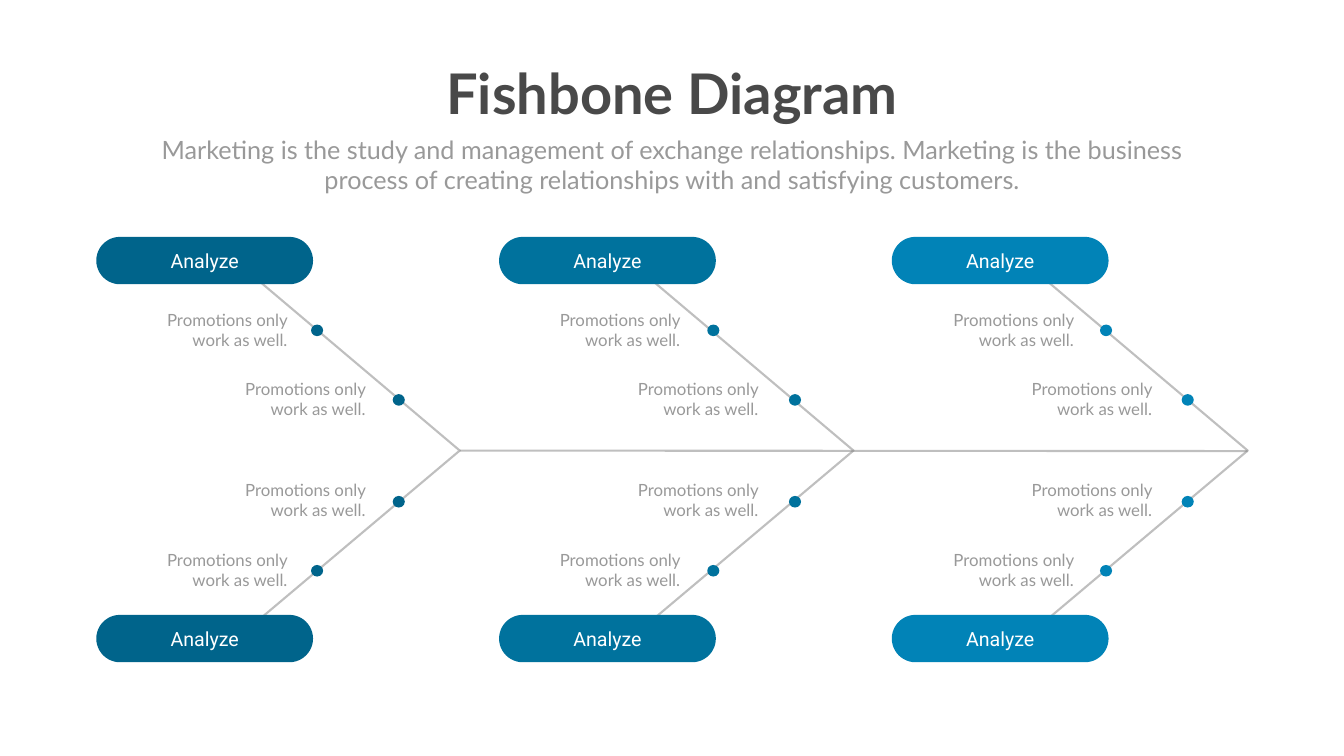
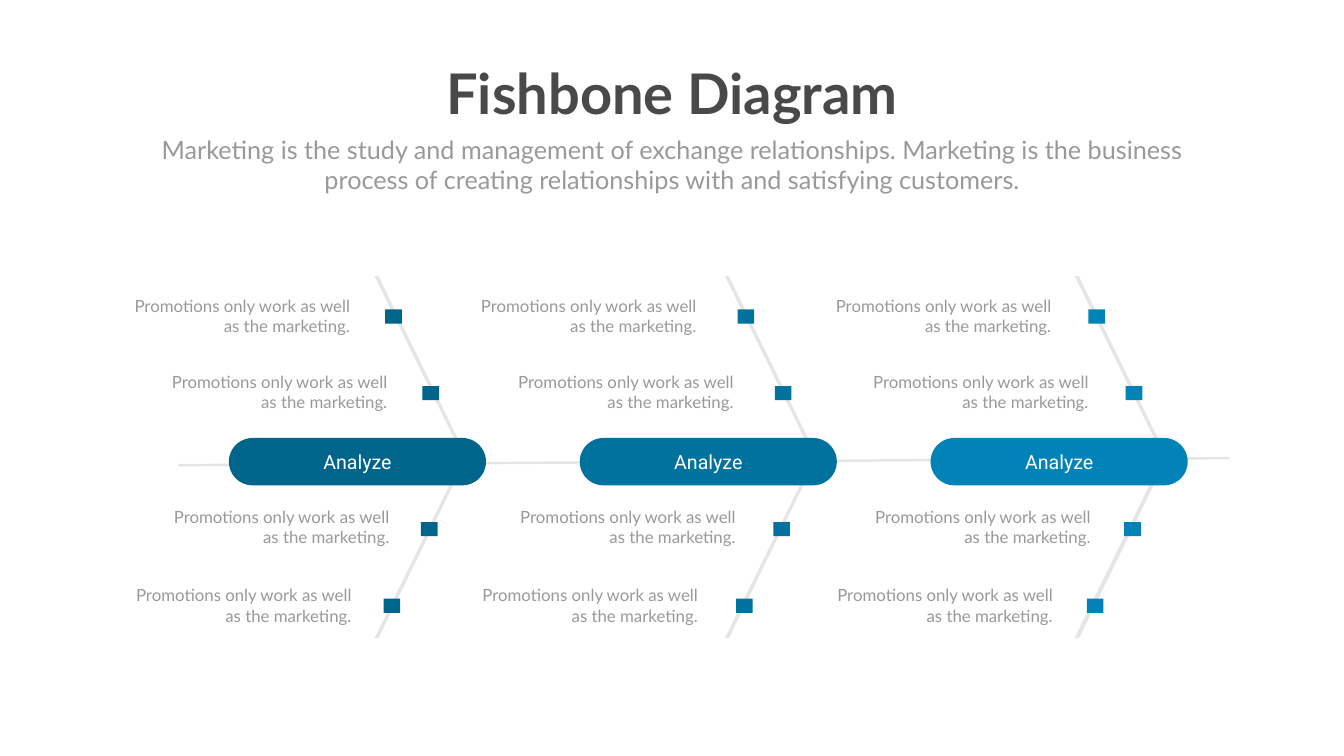
from lxml import etree
from pptx import Presentation
from pptx.dml.color import RGBColor
from pptx.enum.shapes import MSO_CONNECTOR, MSO_SHAPE
from pptx.enum.text import MSO_ANCHOR, MSO_AUTO_SIZE, PP_ALIGN
from pptx.oxml.ns import qn
from pptx.util import Pt

PX = 9144  # 100 px to the inch
STRAIGHT = MSO_CONNECTOR.STRAIGHT
PILL, OVAL, SQUARE = MSO_SHAPE.ROUNDED_RECTANGLE, MSO_SHAPE.OVAL, MSO_SHAPE.RECTANGLE
TOP, MIDDLE = MSO_ANCHOR.TOP, MSO_ANCHOR.MIDDLE
CENTER, RIGHT = PP_ALIGN.CENTER, PP_ALIGN.RIGHT
NO_FIT = MSO_AUTO_SIZE.NONE

# Colours; a fourth pair of digits is the opacity
BLUES = ["00648B", "00729D", "0183B7"]
DARK, GREY, WHITE = "494949", "999999", "FFFFFF"
HALF_GREY, FAINT_GREY, EDGE_GREY = "80808080", "80808033", "E8E8E8"

SUBTITLE = ("Marketing is the study and management of exchange relationships. "
            "Marketing is the business process of creating relationships "
            "with and satisfying customers.")


def paint(shape, fill=None, line=None, width=0):
    """Set fill and line from hex strings and drop the shadow."""
    parts = [(shape.line.fill, line)]
    if hasattr(shape, "fill"):
        parts.insert(0, (shape.fill, fill))
    properties = shape._element.spPr
    for part, color in parts:
        if color is None:
            part.background()
            continue
        part.solid()
        part.fore_color.rgb = RGBColor.from_string(color[:6])
        if color[6:]:
            latest = list(properties.iter(qn("a:srgbClr")))[-1]
            opacity = round(int(color[6:], 16) / 255 * 100) * 1000
            etree.SubElement(latest, qn("a:alpha")).set("val", str(opacity))
    if line:
        shape.line.width = Pt(width)
    etree.SubElement(properties, qn("a:effectLst"))


def write(shape, text, size=24, color=GREY, font="Lato", bold=False,
          align=RIGHT, anchor=TOP, wrap=True):
    frame = shape.text_frame
    frame.word_wrap = wrap
    frame.auto_size = NO_FIT
    frame.vertical_anchor = anchor
    paragraph = frame.paragraphs[0]
    paragraph.text = text
    paragraph.alignment = align
    paragraph.font.name = font
    paragraph.font.size = Pt(size)
    paragraph.font.bold = bold
    paragraph.font.color.rgb = RGBColor.from_string(color)


prs = Presentation()
prs.slide_width, prs.slide_height = 2666 * PX, 1500 * PX

# Headings of both slides
slides = []
for _ in range(2):
    slide = prs.slides.add_slide(prs.slide_layouts[5])
    heading = slide.shapes.title
    heading.left, heading.top = 868 * PX, 112 * PX
    heading.width, heading.height = 930 * PX, 145 * PX
    write(heading, "Fishbone Diagram", size=80, color=DARK, bold=True,
          align=CENTER, wrap=False)
    subtitle = slide.shapes.add_textbox(292 * PX, 261 * PX, 2082 * PX, 131 * PX)
    write(subtitle, SUBTITLE, size=36, align=CENTER)
    slides.append(slide)
angled, central = slides

# Slide 1: spine and arrow-shaped bones
spine = angled.shapes.add_connector(STRAIGHT, 912 * PX, 894 * PX, 2475 * PX, 895 * PX)
paint(spine, line=HALF_GREY, width=3)
for tip in (2475, 1693, 912):
    outline = angled.shapes.build_freeform(tip - 394, 561, scale=PX)
    outline.add_line_segments([(tip, 894), (tip - 394, 1226)], close=False)
    paint(outline.convert_to_shape(), line=HALF_GREY, width=3)

# Slide 2: spine and tapered bones above and below it
spine = central.shapes.add_connector(STRAIGHT, 354 * PX, 923 * PX, 2438 * PX, 909 * PX)
paint(spine, line=FAINT_GREY, width=3.5)
for left in (2132, 1438, 743):
    for end in (548, 1266):
        outline = central.shapes.build_freeform(left, end, scale=PX)
        outline.add_line_segments([(left + 8, end), (left + 183, 907), (left + 176, 907)])
        edged = left == 2132 and end == 1266
        paint(outline.convert_to_shape(), fill=FAINT_GREY,
              line=EDGE_GREY if edged else None, width=0.75)

# Each row: note shift, note top, marker shift, marker top
diagrams = [
    dict(slide=angled, note="Promotions only work as well.", note_width=329,
         note_lefts=(251, 1030, 1811), marker=OVAL, marker_size=(24, 23),
         marker_lefts=(617, 1403, 2182),
         rows=[(0, 610, 0, 644), (155, 747, 162, 782),
               (155, 947, 162, 984), (0, 1086, 0, 1121)],
         pill_lefts=(191, 990, 1769), pill_tops=(470, 1220), pill_width=430),
    dict(slide=central, note="Promotions only work as well as the marketing.",
         note_width=476, note_lefts=(228, 915, 1619), marker=SQUARE,
         marker_size=(33, 28), marker_lefts=(764, 1463, 2159),
         rows=[(0, 582, 0, 614), (74, 733, 74, 766),
               (78, 1001, 71, 1036), (3, 1156, -3, 1188)],
         pill_lefts=(454, 1150, 1846), pill_tops=(869,), pill_width=510),
]

# Markers, notes and pills, one blue per bone
for diagram in diagrams:
    shapes = diagram["slide"].shapes
    marker_width, marker_height = diagram["marker_size"]
    bones = zip(BLUES, diagram["note_lefts"], diagram["marker_lefts"],
                diagram["pill_lefts"])
    for blue, note_left, marker_left, pill_left in bones:
        for note_shift, note_top, marker_shift, marker_top in diagram["rows"]:
            marker = shapes.add_shape(
                diagram["marker"], (marker_left + marker_shift) * PX, marker_top * PX,
                marker_width * PX, marker_height * PX)
            paint(marker, fill=blue)
            note = shapes.add_textbox((note_left + note_shift) * PX, note_top * PX,
                                      diagram["note_width"] * PX, 91 * PX)
            write(note, diagram["note"])
        for pill_top in diagram["pill_tops"]:
            pill = shapes.add_shape(PILL, pill_left * PX, pill_top * PX,
                                    diagram["pill_width"] * PX, 94 * PX)
            pill.adjustments[0] = 0.5
            paint(pill, fill=blue)
            write(pill, "Analyze", size=28, color=WHITE, font="Roboto",
                  align=CENTER, anchor=MIDDLE)

prs.save("out.pptx")
